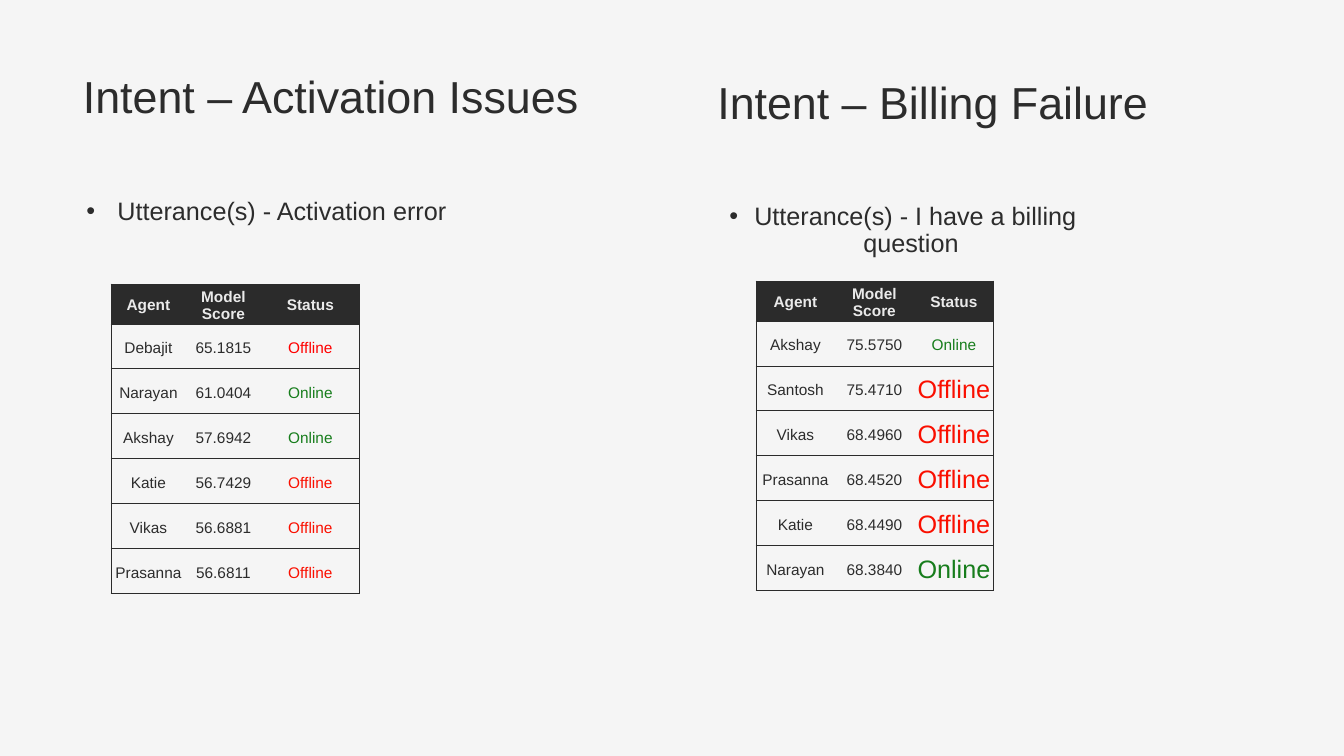
from lxml.etree import SubElement
from pptx import Presentation
from pptx.dml.color import RGBColor
from pptx.enum.text import MSO_ANCHOR, PP_ALIGN
from pptx.oxml.ns import qn
from pptx.util import Emu, Pt

FONT = "Arial"
COLORS = {
    "background": "F5F5F5",
    "text": "2C2C2C",
    "dark": "2B2B2B",
    "header": "EAEAEA",
    "online": "177D1C",
    "offline": "FA0F00",
    "alert": "FF0000",
}
HEADERS = ("Agent", "Model Score", "Status")
ROW_HEIGHT = 45
ACTIVATION_AGENTS = [
    ("Debajit", "65.1815", "Offline", "alert", 11),
    ("Narayan", "61.0404", "Online", "online", 11),
    ("Akshay", "57.6942", "Online", "online", 11),
    ("Katie", "56.7429", "Offline", "offline", 11),
    ("Vikas", "56.6881", "Offline", "offline", 11),
    ("Prasanna", "56.6811", "Offline", "offline", 11),
]
BILLING_AGENTS = [
    ("Akshay", "75.5750", "Online", "online", 11),
    ("Santosh", "75.4710", "Offline", "offline", 18),
    ("Vikas", "68.4960", "Offline", "offline", 18),
    ("Prasanna", "68.4520", "Offline", "offline", 18),
    ("Katie", "68.4490", "Offline", "offline", 18),
    ("Narayan", "68.3840", "Online", "online", 18),
]


def px(n):
    return Emu(round(n * 914400 / 100.8))


def rgb(name):
    return RGBColor.from_string(COLORS[name])


def format_text(p, size, color, bold=False):
    p.alignment = PP_ALIGN.CENTER
    for r in p.runs:
        r.font.name = FONT
        r.font.size = Pt(size)
        r.font.bold = bold
        r.font.color.rgb = rgb(color)


def add_text(slide, box, text, size, anchor):
    sp = slide.shapes.add_textbox(*map(px, box))
    tf = sp.text_frame
    tf.word_wrap = True
    tf.vertical_anchor = anchor
    p = tf.paragraphs[0]
    p.text = text
    p.line_spacing = 0.9
    format_text(p, size, "text")
    return p


def add_bullet(p, margin, indent):
    p.space_after = Pt(6)
    pPr = p._p.get_or_add_pPr()
    pPr.set("marL", str(px(margin)))
    pPr.set("indent", str(px(indent)))
    SubElement(pPr, qn("a:buFont"), typeface=FONT)
    SubElement(pPr, qn("a:buChar"), char="•")


def set_borders(cell, visible):
    tcPr = cell._tc.get_or_add_tcPr()
    for side in "LRTB":
        ln = SubElement(tcPr, qn(f"a:ln{side}"), w=str(Pt(0.75)))
        if side in visible:
            fill = SubElement(ln, qn("a:solidFill"))
            SubElement(fill, qn("a:srgbClr"), val=COLORS["dark"])
        else:
            SubElement(ln, qn("a:noFill"))


def fill_cell(cell, text, size, color, is_header, borders):
    set_borders(cell, borders)
    if is_header:
        cell.fill.solid()
        cell.fill.fore_color.rgb = rgb("dark")
    else:
        cell.fill.background()
    cell.vertical_anchor = MSO_ANCHOR.MIDDLE
    cell.margin_left = cell.margin_top = cell.margin_right = px(3)
    cell.margin_bottom = 0
    p = cell.text_frame.paragraphs[0]
    p.text = text
    format_text(p, size, color, is_header)


def add_agent_table(slide, left, top, widths, header_height, agents):
    heights = [header_height] + [ROW_HEIGHT] * len(agents)
    frame = slide.shapes.add_table(
        len(heights), len(widths),
        px(left), px(top), px(sum(widths)), px(sum(heights)))
    table = frame.table
    table.horz_banding = False
    for column, width in zip(table.columns, widths):
        column.width = px(width)
    for row, height in zip(table.rows, heights):
        row.height = px(height)
    last = len(widths) - 1
    for c, header in enumerate(HEADERS):
        borders = "TB" + ("L" if c == 0 else "R" if c == last else "")
        fill_cell(table.cell(0, c), header, 11, "header", True, borders)
        for r, agent in enumerate(agents, 1):
            color, size = agent[3:] if c == last else ("text", 11)
            fill_cell(table.cell(r, c), agent[c], size, color, False, borders)


def add_activation_panel(slide, x, y):
    add_text(slide, (x + 51, y + 37, 560, 123),
             "Intent – Activation Issues", 32, MSO_ANCHOR.MIDDLE)
    p = add_text(slide, (x + 1, y + 170, 553, 85),
                 "Utterance(s) - Activation error", 18, MSO_ANCHOR.MIDDLE)
    add_bullet(p, 6, -31)
    add_agent_table(slide, x + 111, y + 284, (75, 75, 99), 37,
                    ACTIVATION_AGENTS)


def add_billing_panel(slide, x, y):
    add_text(slide, (x, y + 43, 560, 123),
             "Intent – Billing Failure", 32, MSO_ANCHOR.MIDDLE)
    p = add_text(slide, (x + 41, y + 199, 434, 64),
                 "Utterance(s) - I have a billing question", 18,
                 MSO_ANCHOR.TOP)
    add_bullet(p, 0, -25)
    add_agent_table(slide, x + 103, y + 281, (79, 79, 80), 40,
                    BILLING_AGENTS)


def main():
    prs = Presentation()
    prs.slide_width, prs.slide_height = px(1344), px(756)
    slide = prs.slides.add_slide(prs.slide_layouts[6])
    slide.background.fill.solid()
    slide.background.fill.fore_color.rgb = rgb("background")
    add_activation_panel(slide, 0, 0)
    add_billing_panel(slide, 653, 0)
    prs.save("out.pptx")


if __name__ == "__main__":
    main()
